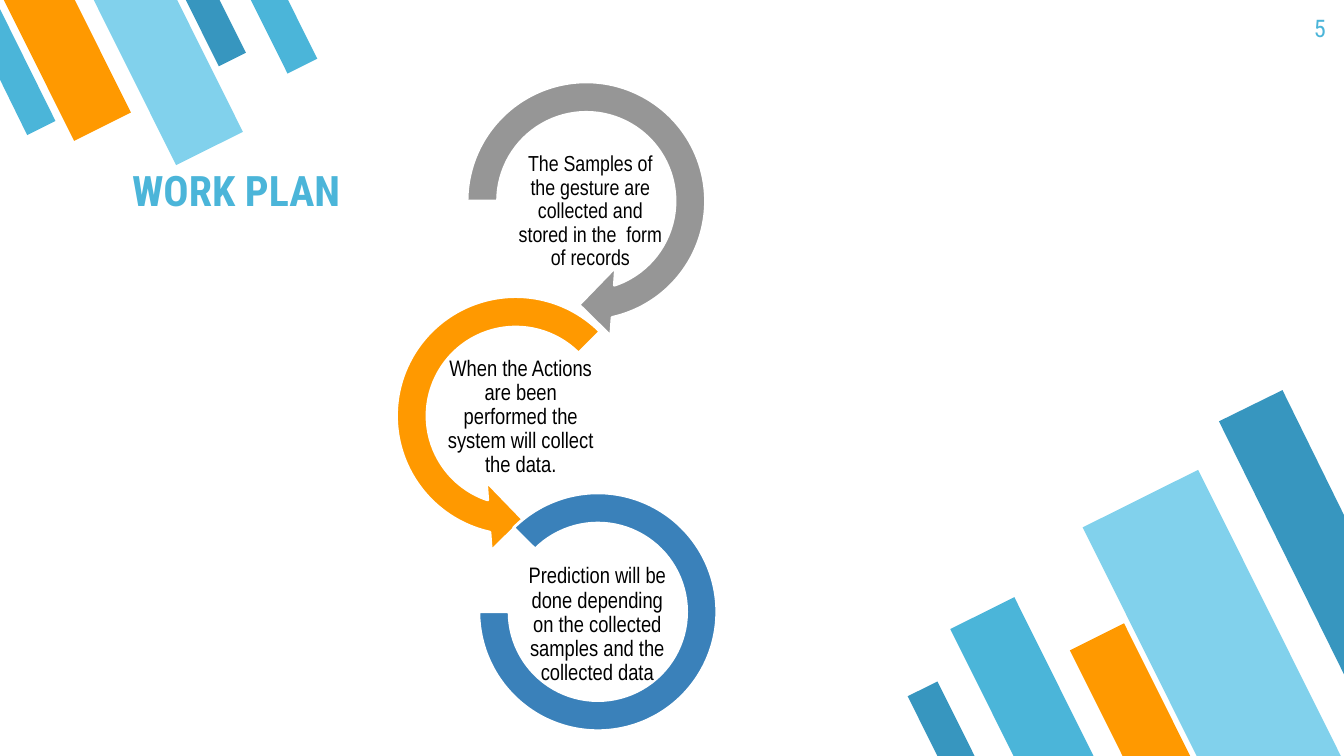
from pptx import Presentation
from pptx.dml.color import RGBColor
from pptx.enum.shapes import MSO_SHAPE
from pptx.enum.text import MSO_ANCHOR, PP_ALIGN
from pptx.util import Inches, Pt

COLORS = {
    "sky": "4BB5D9",
    "pale": "81D1EC",
    "orange": "FF9900",
    "deep": "3796BF",
    "grey": "969696",
    "blue": "3A81BA",
    "white": "FFFFFF",
    "black": "000000",
}

# Bars: left, top, width, height, colour
BOTTOM_BARS = [
    (9.78, 5.99, 0.71, 1.76, "sky"),
    (11.38, 4.78, 1.28, 3.18, "pale"),
    (10.91, 6.24, 0.6, 1.48, "orange"),
    (9.17, 6.79, 0.33, 0.83, "deep"),
]
TOP_BARS = [
    (1.99, -0.11, 0.3, 0.74, "deep"),
    (0.35, -0.24, 0.63, 1.58, "orange"),
    (1.3, -0.26, 0.74, 1.83, "pale"),
    (2.65, -0.13, 0.33, 0.83, "sky"),
]
# Bars cut off by the slide edge: corner points
BOTTOM_EDGE_BAR = [(12.72, 3.87), (12.09, 4.18), (13.33, 6.69), (13.33, 5.11)]
TOP_EDGE_BAR = [(0.27, 1.34), (0.55, 1.2), (0, 0.09), (0, 0.79)]

# Steps: shape, left, top, size, adjustments, colour, label left, label top, text size, text
STEPS = [
    (MSO_SHAPE.CIRCULAR_ARROW, 4.44, 0.62, 2.75, (0.11, 11.423, 45, 108, 0.125), "grey",
     5.09, 1.72, 15.5,
     "The Samples of the gesture are collected and stored in the  form of records"),
    (MSO_SHAPE.LEFT_CIRCULAR_ARROW, 3.74, 2.75, 2.75, (0.11, 11.423, 63, 189, 0.125), "orange",
     4.4, 3.76, 16,
     "When the Actions are been performed the system will collect the data."),
    (MSO_SHAPE.BLOCK_ARC, 4.75, 4.89, 2.36, (135, 108, 0.127), "blue",
     5.16, 5.82, 16,
     "Prediction will be done depending on the collected samples and the collected data"),
]


def rgb(name):
    return RGBColor.from_string(COLORS[name])


def paint(sp, color, outline=None):
    sp.shadow.inherit = False
    sp.fill.solid()
    sp.fill.fore_color.rgb = rgb(color)
    if outline:
        sp.line.color.rgb = rgb(outline)
        sp.line.width = Pt(2)
    else:
        sp.line.fill.background()


def add_bars(slide, bars, rotation, edge_points, edge_color):
    shapes = slide.shapes.add_group_shape().shapes
    for *box, color in bars:
        sp = shapes.add_shape(MSO_SHAPE.FLOWCHART_MANUAL_INPUT, *map(Inches, box))
        sp.rotation = rotation
        sp._element.spPr.xfrm.set("flipH", "1")
        paint(sp, color)
    points = [(Inches(x), Inches(y)) for x, y in edge_points]
    builder = shapes.build_freeform(*points[0])
    builder.add_line_segments(points[1:], close=True)
    paint(builder.convert_to_shape(), edge_color)


def write(sp, text, inset, anchor, align, color, font, spacing=1.0):
    tf = sp.text_frame
    frame = {"word_wrap": True, "vertical_anchor": anchor}
    for side in ("left", "top", "right", "bottom"):
        frame[f"margin_{side}"] = Inches(inset)
    for name, value in frame.items():
        setattr(tf, name, value)
    p = tf.paragraphs[0]
    p.alignment = align
    p.line_spacing = spacing
    r = p.add_run()
    r.text = text
    for name, value in font.items():
        setattr(r.font, name, value)
    r.font.color.rgb = rgb(color)


def add_title(slide, text):
    title = slide.shapes.title
    box = {"left": 0.6, "top": 1.36, "width": 7.72, "height": 0.9}
    for name, value in box.items():
        setattr(title, name, Inches(value))
    write(title, text, 0.13, MSO_ANCHOR.BOTTOM, PP_ALIGN.LEFT, "sky",
          {"name": "Roboto Condensed", "size": Pt(30), "bold": True})
    title.text_frame.margin_left = Inches(0.71)


def add_text(shapes, box, *args, **kwargs):
    write(shapes.add_textbox(*map(Inches, box)), *args, **kwargs)


def add_steps(slide):
    shapes = slide.shapes.add_group_shape().shapes
    for kind, x, y, size, adjustments, color, label_x, label_y, pt, text in STEPS:
        sp = shapes.add_shape(kind, *map(Inches, (x, y, size, size)))
        for i, value in enumerate(adjustments):
            sp.adjustments[i] = value
        paint(sp, color, "white")
        add_text(shapes, (label_x, label_y, 1.53, 0.76), text, 0.01,
                 MSO_ANCHOR.MIDDLE, PP_ALIGN.CENTER, "black",
                 {"name": "Arial Narrow", "size": Pt(pt)}, spacing=0.9)


def main():
    prs = Presentation()
    prs.slide_width, prs.slide_height = Inches(13.33), Inches(7.5)
    slide = prs.slides.add_slide(prs.slide_layouts[5])

    # Corner decoration
    add_bars(slide, BOTTOM_BARS, 153.5, BOTTOM_EDGE_BAR, "deep")
    add_bars(slide, TOP_BARS, 333.5, TOP_EDGE_BAR, "sky")

    # Slide number and title
    add_text(slide.shapes, (12.48, 0, 0.8, 0.57), "5", 0.13, MSO_ANCHOR.TOP,
             PP_ALIGN.RIGHT, "sky", {"name": "Roboto Condensed", "size": Pt(17.3)})
    add_title(slide, "WORK PLAN")

    # Chain of steps
    add_steps(slide)
    prs.save("out.pptx")


if __name__ == "__main__":
    main()
